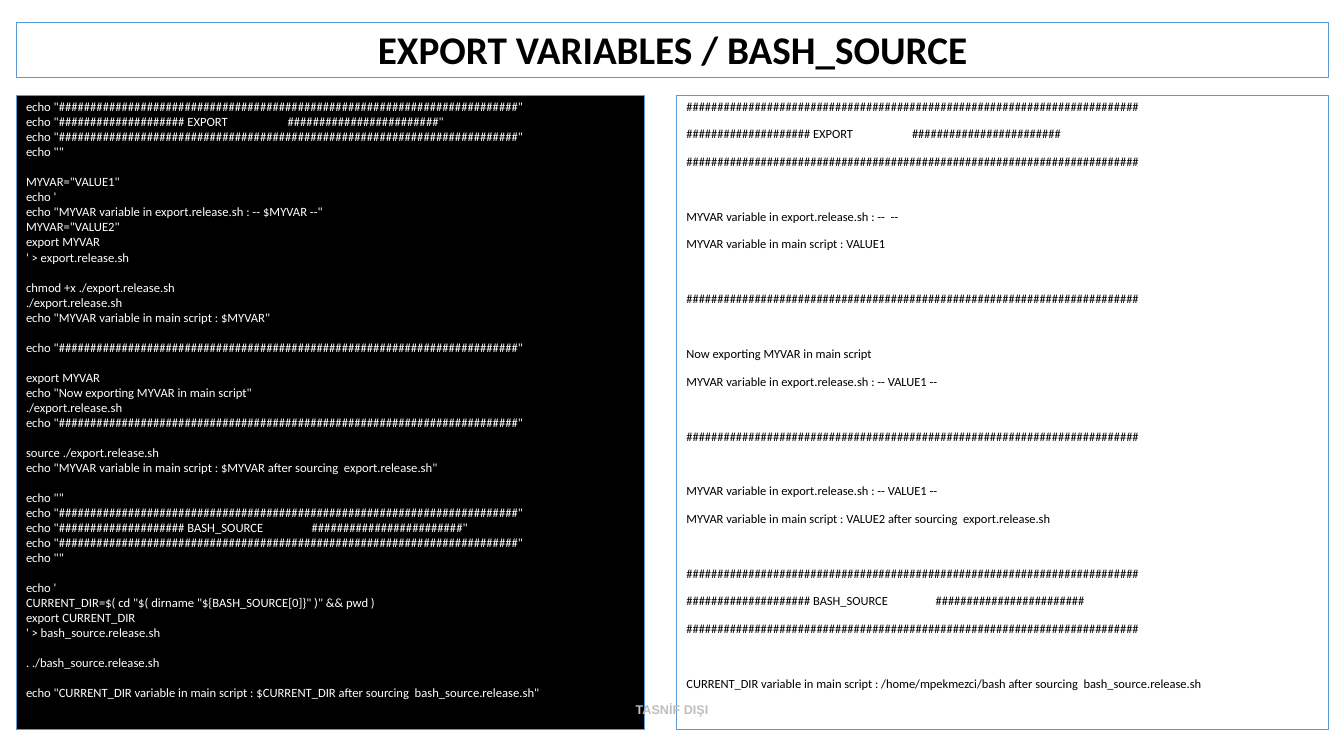
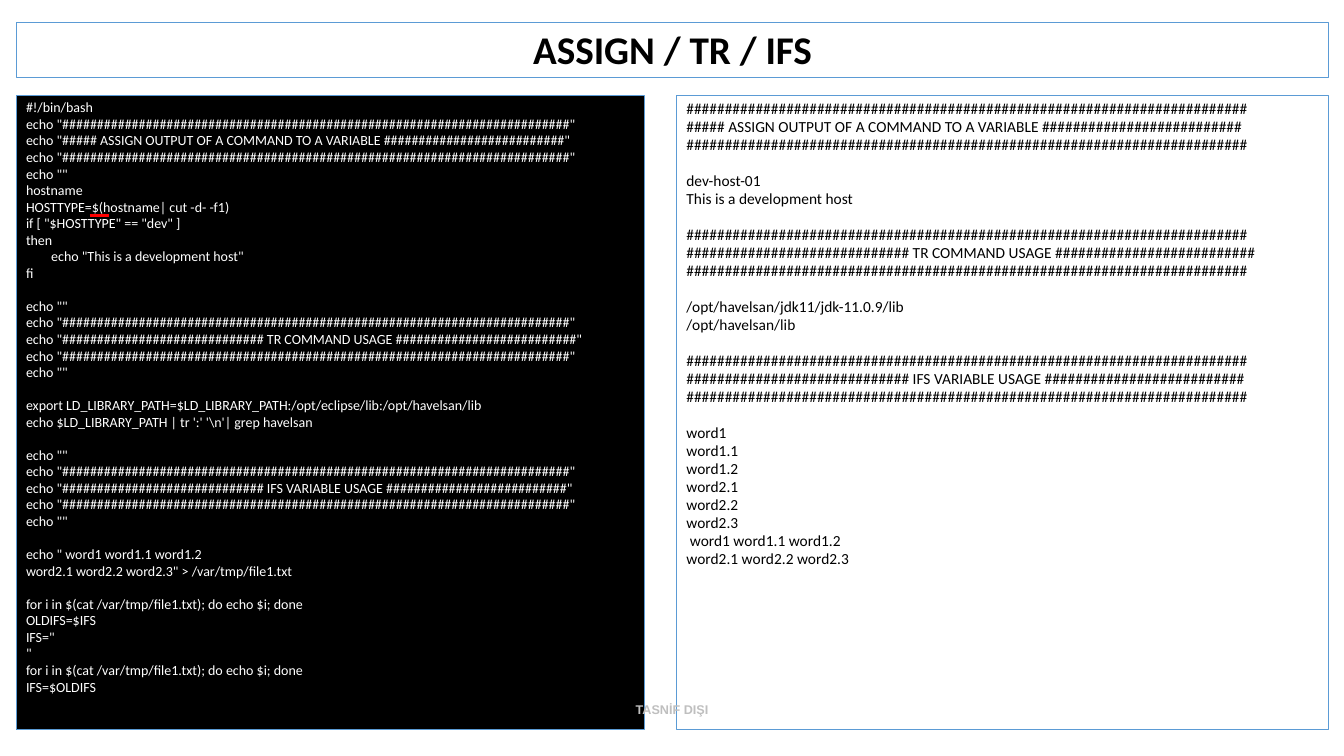
from dataclasses import dataclass
from typing import Optional

from lxml import etree
from pptx import Presentation
from pptx.dml.color import RGBColor
from pptx.enum.shapes import MSO_CONNECTOR, MSO_SHAPE
from pptx.enum.text import MSO_ANCHOR, PP_ALIGN
from pptx.oxml.ns import qn
from pptx.util import Inches, Pt

RECTANGLE = MSO_SHAPE.RECTANGLE
STRAIGHT = MSO_CONNECTOR.STRAIGHT
TOP, MIDDLE, BOTTOM = MSO_ANCHOR.TOP, MSO_ANCHOR.MIDDLE, MSO_ANCHOR.BOTTOM
LEFT, CENTER = PP_ALIGN.LEFT, PP_ALIGN.CENTER


@dataclass(frozen=True)
class Theme:
    black: RGBColor = RGBColor(0x00, 0x00, 0x00)
    white: RGBColor = RGBColor(0xFF, 0xFF, 0xFF)
    border: RGBColor = RGBColor(0x5B, 0x9B, 0xD5)
    marking: RGBColor = RGBColor(0xBF, 0xBF, 0xBF)
    accent: RGBColor = RGBColor(0xFF, 0x00, 0x00)
    body_font: str = "Calibri"
    marking_font: str = "Arial"
    title_size: float = 28
    marking_size: float = 9
    line_spacing: float = 0.9
    line_height: float = 1.2  # single-spaced line, in multiples of the type size


@dataclass(frozen=True)
class Box:
    left: float
    top: float
    width: float
    height: float

    def lengths(self) -> tuple:
        return tuple(Inches(n) for n in (self.left, self.top, self.width, self.height))


@dataclass(frozen=True)
class TextStyle:
    size: float
    color: RGBColor
    font: str
    bold: bool = False
    align: PP_ALIGN = LEFT
    anchor: MSO_ANCHOR = TOP
    space: float = 0


@dataclass(frozen=True)
class Listing:
    sections: tuple
    size: float
    space: float = 1


@dataclass(frozen=True)
class Lesson:
    title: str
    script: Listing
    output: Listing
    underline: Optional[Box] = None


THEME = Theme()
TITLE_BOX = Box(0.16, 0.22, 13.02, 0.55)
SCRIPT_BOX = Box(0.16, 0.95, 6.23, 6.29)
OUTPUT_BOX = Box(6.71, 0.95, 6.47, 6.29)
MARKING_BOX = Box(0, 6.85, 13.33, 0.4)
TITLE_STYLE = TextStyle(THEME.title_size, THEME.black, THEME.body_font, True, CENTER, BOTTOM)
MARKING_STYLE = TextStyle(THEME.marking_size, THEME.marking, THEME.marking_font, True, CENTER, MIDDLE)
MARKING_TEXT = "TASNİF DIŞI"

# <rule> stands for a full row of hash signs
RULE = "#" * 73

EXPORT_SCRIPT = """echo "<rule>"
echo "#################### EXPORT                     ########################"
echo "<rule>"
echo ""

MYVAR="VALUE1"
echo '
echo "MYVAR variable in export.release.sh : -- $MYVAR --"
MYVAR="VALUE2"
export MYVAR
' > export.release.sh

chmod +x ./export.release.sh
./export.release.sh
echo "MYVAR variable in main script : $MYVAR"

echo "<rule>"

export MYVAR
echo "Now exporting MYVAR in main script"
./export.release.sh
echo "<rule>"

source ./export.release.sh
echo "MYVAR variable in main script : $MYVAR after sourcing  export.release.sh"
"""

BASH_SOURCE_SCRIPT = """echo ""
echo "<rule>"
echo "#################### BASH_SOURCE                 ########################"
echo "<rule>"
echo ""

echo '
CURRENT_DIR=$( cd "$( dirname "${BASH_SOURCE[0]}" )" && pwd )
export CURRENT_DIR
' > bash_source.release.sh

. ./bash_source.release.sh

echo "CURRENT_DIR variable in main script : $CURRENT_DIR after sourcing  bash_source.release.sh"
"""

EXPORT_OUTPUT = """<rule>
#################### EXPORT                     ########################
<rule>

MYVAR variable in export.release.sh : --  --
MYVAR variable in main script : VALUE1

<rule>

Now exporting MYVAR in main script
MYVAR variable in export.release.sh : -- VALUE1 --

<rule>

MYVAR variable in export.release.sh : -- VALUE1 --
MYVAR variable in main script : VALUE2 after sourcing  export.release.sh
"""

BASH_SOURCE_OUTPUT = """<rule>
#################### BASH_SOURCE                 ########################
<rule>

CURRENT_DIR variable in main script : /home/mpekmezci/bash after sourcing  bash_source.release.sh
"""

ASSIGN_SCRIPT = """#!/bin/bash
echo "<rule>"
echo "##### ASSIGN OUTPUT OF A COMMAND TO A VARIABLE ##########################"
echo "<rule>"
echo ""
hostname
HOSTTYPE=$(hostname| cut -d- -f1)
if [ "$HOSTTYPE" == "dev" ]
then
        echo "This is a development host"
fi
"""

TR_SCRIPT = r"""echo ""
echo "<rule>"
echo "############################# TR COMMAND USAGE ##########################"
echo "<rule>"
echo ""

export LD_LIBRARY_PATH=$LD_LIBRARY_PATH:/opt/eclipse/lib:/opt/havelsan/lib
echo $LD_LIBRARY_PATH | tr ':' '\n'| grep havelsan
"""

IFS_SCRIPT = """echo ""
echo "<rule>"
echo "############################# IFS VARIABLE USAGE ##########################"
echo "<rule>"
echo ""

echo " word1 word1.1 word1.2
word2.1 word2.2 word2.3" > /var/tmp/file1.txt

for i in $(cat /var/tmp/file1.txt); do echo $i; done
OLDIFS=$IFS
IFS="
"
for i in $(cat /var/tmp/file1.txt); do echo $i; done
IFS=$OLDIFS
"""

ASSIGN_OUTPUT = """<rule>
##### ASSIGN OUTPUT OF A COMMAND TO A VARIABLE ##########################
<rule>

dev-host-01
This is a development host
"""

TR_OUTPUT = """<rule>
############################# TR COMMAND USAGE ##########################
<rule>

/opt/havelsan/jdk11/jdk-11.0.9/lib
/opt/havelsan/lib
"""

IFS_OUTPUT = """<rule>
############################# IFS VARIABLE USAGE ##########################
<rule>

word1
word1.1
word1.2
word2.1
word2.2
word2.3
 word1 word1.1 word1.2
word2.1 word2.2 word2.3
"""

LESSONS = [
    Lesson("EXPORT VARIABLES / BASH_SOURCE",
           Listing((EXPORT_SCRIPT, BASH_SOURCE_SCRIPT), 9),
           Listing((EXPORT_OUTPUT, BASH_SOURCE_OUTPUT), 8.9, space=10)),
    Lesson("ASSIGN / TR / IFS",
           Listing((ASSIGN_SCRIPT, TR_SCRIPT, IFS_SCRIPT), 10),
           Listing((ASSIGN_OUTPUT, TR_OUTPUT, IFS_OUTPUT), 11),
           underline=Box(0.89, 2.14, 0.19, 0)),
]


def write_text(shape, text: str, style: TextStyle) -> None:
    """Write one paragraph per line; an empty line becomes space before the next."""
    text_frame = shape.text_frame
    text_frame.word_wrap = True
    text_frame.vertical_anchor = style.anchor
    pitch = style.size * THEME.line_height * THEME.line_spacing + style.space
    paragraph, gap = None, 0.0
    for line in text.splitlines():
        if not line:
            gap += pitch
            continue
        if paragraph is None:
            paragraph = text_frame.paragraphs[0]
            paragraph.space_before = Pt(0)
        else:
            paragraph = text_frame.add_paragraph()
            paragraph.space_before = Pt(round(style.space + gap, 2))
        gap = 0.0
        paragraph.text = line.replace("<rule>", RULE)
        paragraph.alignment = style.align
        paragraph.line_spacing = THEME.line_spacing
        for run in paragraph.runs:
            run.font.name = style.font
            run.font.size = Pt(style.size)
            run.font.bold = style.bold
            run.font.color.rgb = style.color


def add_panel(slide, box: Box, text: str, style: TextStyle, fill: Optional[RGBColor] = None) -> None:
    shape = slide.shapes.add_shape(RECTANGLE, *box.lengths())
    shape.shadow.inherit = False
    if fill is None:
        shape.fill.background()
    else:
        shape.fill.solid()
        shape.fill.fore_color.rgb = fill
    shape.line.color.rgb = THEME.border
    shape.line.width = Pt(0)
    write_text(shape, text, style)


def add_listing(slide, box: Box, listing: Listing, color: RGBColor, fill: Optional[RGBColor] = None) -> None:
    style = TextStyle(listing.size, color, THEME.body_font, space=listing.space)
    add_panel(slide, box, "\n".join(listing.sections), style, fill)


def add_underline(slide, box: Box) -> None:
    left, top, width, height = box.lengths()
    connector = slide.shapes.add_connector(STRAIGHT, left, top, left + width, top + height)
    connector.line.color.rgb = THEME.accent
    connector.line.width = Pt(2.5)
    etree.SubElement(connector._element.spPr, qn("a:effectLst"))


def add_lesson(presentation, lesson: Lesson) -> None:
    slide = presentation.slides.add_slide(presentation.slide_layouts[6])
    add_panel(slide, TITLE_BOX, lesson.title, TITLE_STYLE)
    add_listing(slide, SCRIPT_BOX, lesson.script, THEME.white, THEME.black)
    add_listing(slide, OUTPUT_BOX, lesson.output, THEME.black)
    if lesson.underline:
        add_underline(slide, lesson.underline)
    # Classification marking
    write_text(slide.shapes.add_textbox(*MARKING_BOX.lengths()), MARKING_TEXT, MARKING_STYLE)


def main() -> None:
    presentation = Presentation()
    presentation.slide_width = Inches(13.33)
    presentation.slide_height = Inches(7.5)
    for lesson in LESSONS:
        add_lesson(presentation, lesson)
    presentation.save("out.pptx")


if __name__ == "__main__":
    main()
